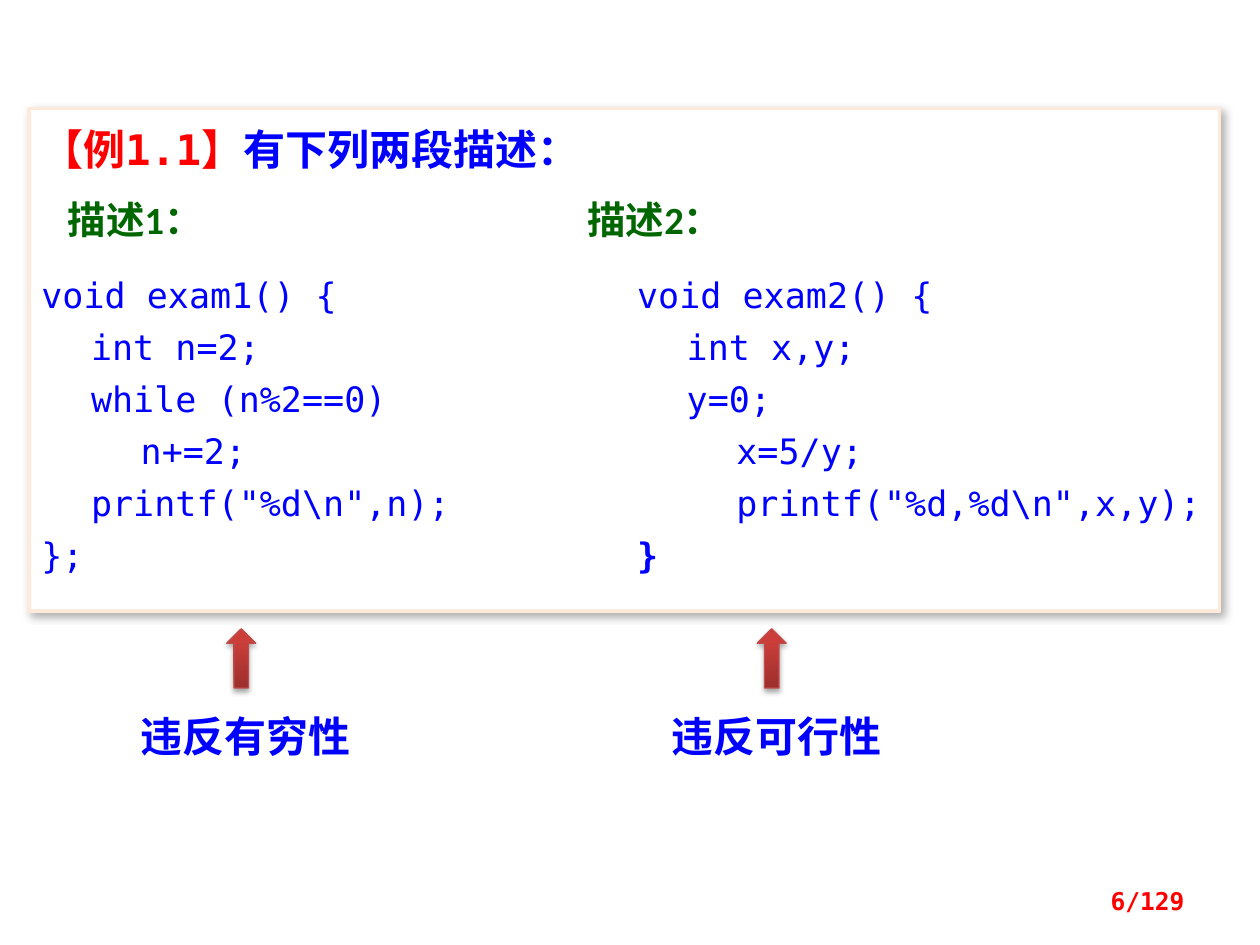
from lxml import etree
from pptx import Presentation
from pptx.dml.color import RGBColor
from pptx.enum.shapes import MSO_SHAPE as SHAPE
from pptx.enum.text import MSO_ANCHOR as ANCHOR, PP_ALIGN as ALIGN
from pptx.oxml.ns import qn
from pptx.util import Inches, Pt

COLORS = {
    "white": "FFFFFF", "border": "FDEADA", "red": "FF0000", "blue": "0000FF",
    "green": "006600", "arrow_dark": "9C2F2D", "arrow_light": "CB3E3A",
    "arrow_line": "BF4C48", "shadow": "000000",
}
MONO, SANS, CJK = "DejaVu Sans Mono", "Calibri", "Noto Sans CJK SC"
INDENT = 0.394      # one code indent, in inches
CODE_COLUMN = 12    # indents before the second code column

# (left indent, left code, right indent, right code)
CODE = [
    (0, "void exam1() {", 0, "void exam2() {"),
    (1, "int n=2;", 1, "int x,y;"),
    (1, "while (n%2==0)", 1, "y=0;"),
    (2, "n+=2;", 2, "x=5/y;"),
    (1, 'printf("%d\\n",n);', 2, 'printf("%d,%d\\n",x,y);'),
    (0, "};", 0, "}"),
]


def rgb(name):
    return RGBColor.from_string(COLORS[name])


def add_run(p, text, size, font, color, bold=True):
    r = p.add_run()
    r.text = text
    r.font.size, r.font.name, r.font.bold = Pt(size), font, bold
    r.font.color.rgb = rgb(color)
    etree.SubElement(r.font._element, qn("a:ea"), typeface=CJK)
    return r


def add_shadow(sp, alpha, blur, dist, angle):
    """Outer shadow; alpha in percent, blur and dist in points."""
    sp.shadow.inherit = False
    effects = sp._element.spPr.find(qn("a:effectLst"))
    shadow = etree.SubElement(
        effects, qn("a:outerShdw"), blurRad=str(Pt(blur)), dist=str(Pt(dist)),
        dir=str(angle * 60000), algn="tl", rotWithShape="0")
    clr = etree.SubElement(shadow, qn("a:srgbClr"), val=COLORS["shadow"])
    etree.SubElement(clr, qn("a:alpha"), val=str(alpha * 1000))


def set_tabs(p, stops):
    tabs = etree.SubElement(p._p.get_or_add_pPr(), qn("a:tabLst"))
    for stop in stops:
        etree.SubElement(tabs, qn("a:tab"), pos=str(Inches(stop)), algn="l")


def add_columns(p, left, right, left_pos, right_pos):
    """Lay two texts on one line by tab stops; returns the two strings."""
    set_tabs(p, [pos for pos in (left_pos, right_pos) if pos])
    return ("\t" if left_pos else "") + left + "\t", right


def add_example_panel(slide, x, y, w, h):
    sp = slide.shapes.add_shape(SHAPE.RECTANGLE, Inches(x), Inches(y), Inches(w), Inches(h))
    sp.fill.solid()
    sp.fill.fore_color.rgb = rgb("white")
    sp.line.color.rgb = rgb("border")
    sp.line.width = Pt(2)
    add_shadow(sp, 30, 4.5, 2.6, 53)
    tf = sp.text_frame
    tf.word_wrap, tf.vertical_anchor = True, ANCHOR.TOP
    tf.margin_left = tf.margin_right = Inches(0.1)
    tf.margin_top, tf.margin_bottom = Inches(0.2), Inches(0.12)

    title = tf.paragraphs[0]
    add_run(title, "【例1.1】", 24, MONO, "red")
    add_run(title, "有下列两段描述：", 24, SANS, "blue")
    title.space_after = Pt(12)

    heads = tf.add_paragraph()
    for text in add_columns(heads, "描述1：", "描述2：", 0.21, 11 * INDENT):
        add_run(heads, text, 22, SANS, "green")
    heads.space_before, heads.space_after = Pt(6), Pt(12)

    for left_indent, left, right_indent, right in CODE:
        p = tf.add_paragraph()
        texts = add_columns(p, left, right, left_indent * INDENT,
                            (CODE_COLUMN + right_indent) * INDENT)
        for text in texts:
            add_run(p, text, 20, MONO, "blue", bold=text == "}")
        p.space_before = Pt(10.5)

    for p in tf.paragraphs:
        p.alignment, p.line_spacing = ALIGN.LEFT, 0.8


def add_text(slide, x, y, w, h, text, size, font, color, align=ALIGN.LEFT, anchor=ANCHOR.TOP):
    tf = slide.shapes.add_textbox(Inches(x), Inches(y), Inches(w), Inches(h)).text_frame
    tf.word_wrap, tf.vertical_anchor = True, anchor
    p = tf.paragraphs[0]
    p.alignment = align
    add_run(p, text, size, font, color)


def add_violation(slide, x, y, w, text):
    """Up arrow with the violated property written below it."""
    arrow = slide.shapes.add_shape(SHAPE.UP_ARROW, Inches(x + 0.78), Inches(y),
                                   Inches(0.23), Inches(0.47))
    arrow.fill.gradient()
    arrow.fill.gradient_angle = 90
    stops = zip(arrow.fill.gradient_stops, (0, 0.8), ("arrow_dark", "arrow_light"))
    for stop, position, color in stops:
        stop.position = position
        stop.color.rgb = rgb(color)
    arrow.line.color.rgb = rgb("arrow_line")
    arrow.line.width = Pt(0.75)
    add_shadow(arrow, 35, 3.1, 1.8, 90)
    add_text(slide, x, y + 0.6, w, 0.5, text, 24, CJK, "blue")


def main():
    prs = Presentation()
    prs.slide_width, prs.slide_height = Inches(10), Inches(7.5)
    slide = prs.slides.add_slide(prs.slide_layouts[6])
    add_example_panel(slide, 0.23, 0.86, 9.45, 3.99)
    add_violation(slide, 1.02, 4.99, 2.21, "违反有穷性")
    add_violation(slide, 5.23, 4.99, 2.11, "违反可行性")
    add_text(slide, 7.17, 6.95, 2.33, 0.4, "6/129", 14, MONO, "red",
             ALIGN.RIGHT, ANCHOR.MIDDLE)
    prs.save("out.pptx")


if __name__ == "__main__":
    main()
